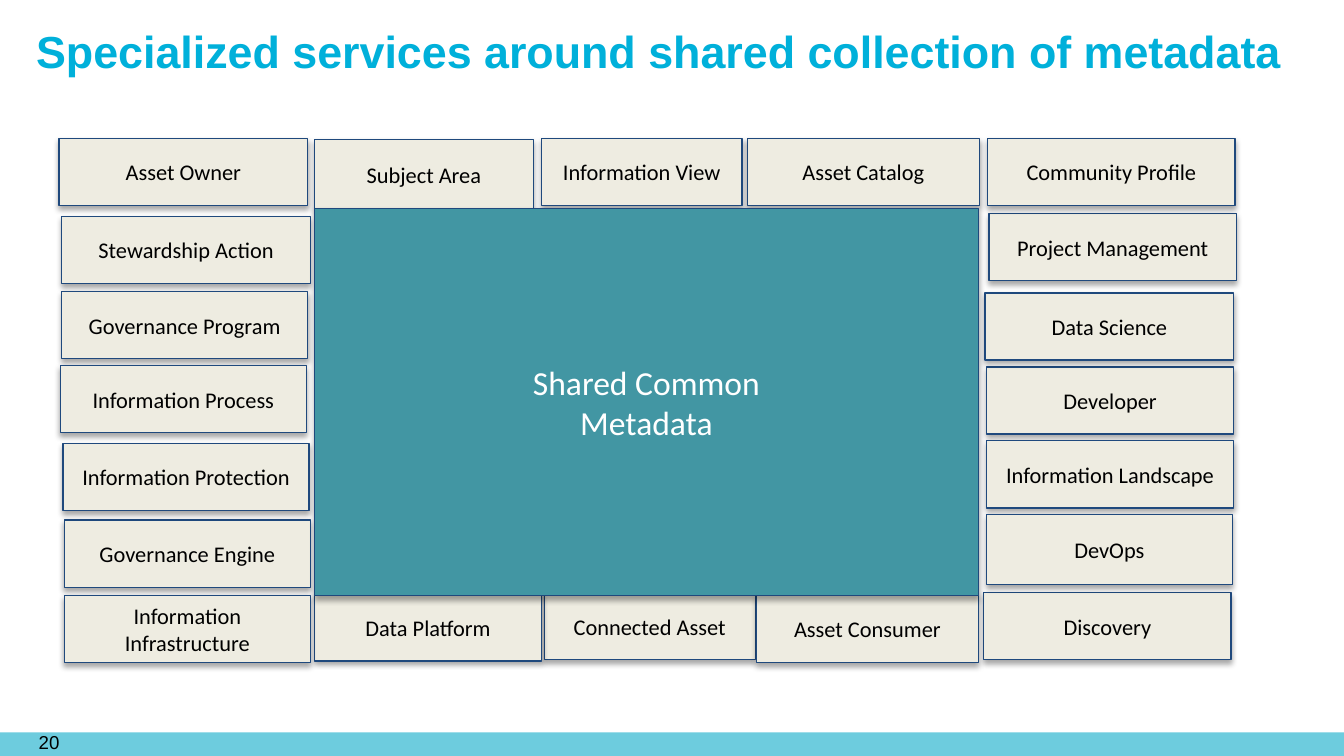
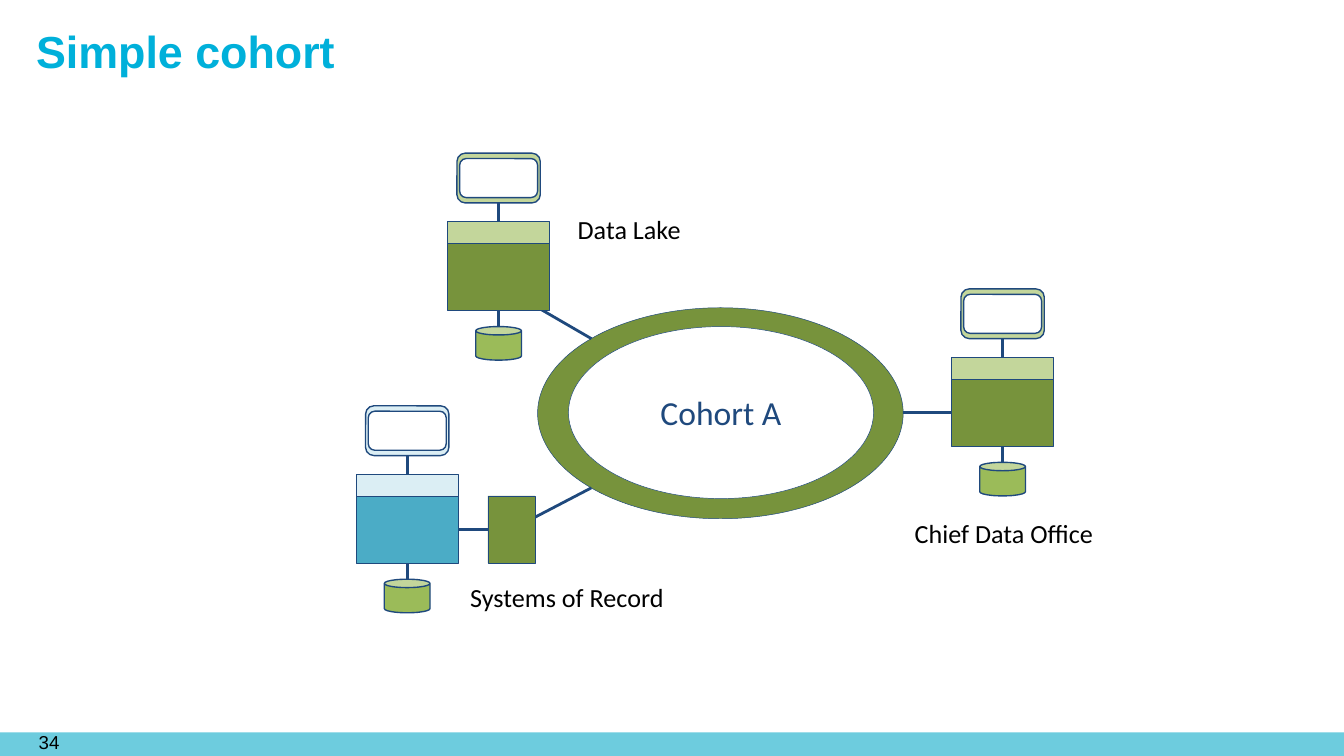
import pptx
import pptx.dml.color
import pptx.enum.shapes
import pptx.enum.text
import pptx.oxml
import pptx.oxml.ns
import pptx.util

Inches = pptx.util.Inches
Kind = pptx.enum.shapes.MSO_SHAPE
Align = pptx.enum.text.PP_ALIGN
Anchor = pptx.enum.text.MSO_ANCHOR

HUES = {
    "title": "00B0DA", "band": "6DCCDE", "ink": "000000", "white": "FFFFFF",
    "navy": "1F497D", "card": "EEECE1", "core": "4296A3", "green": "77933C",
    "lime": "C3D69B", "store": "9BBB59", "blue": "4BACC6", "pale": "DBEEF4",
}
SHADE = (
    '<a:effectLst %s><a:outerShdw blurRad="39370" dist="22860" dir="5400000" rotWithShape="0">'
    '<a:srgbClr val="000000"><a:alpha val="35000"/></a:srgbClr></a:outerShdw></a:effectLst>'
    % pptx.oxml.ns.nsdecls("a")
)
BARE = "<a:effectLst %s/>" % pptx.oxml.ns.nsdecls("a")

# Label, left, top, width and height within the service map
CARDS = [
    ("Project Management", 6.92, 0.56, 1.84, 0.5),
    ("Community Profile", 6.91, 0, 1.84, 0.5),
    ("Asset Catalog", 5.12, 0, 1.73, 0.5),
    ("Stewardship Action", 0.02, 0.58, 1.85, 0.5),
    ("Information View", 3.59, 0, 1.49, 0.5),
    ("Governance Program", 0.02, 1.14, 1.83, 0.5),
    ("Information Process", 0.01, 1.69, 1.83, 0.5),
    ("Subject Area", 1.9, 0.01, 1.63, 0.51),
    ("Connected Asset", 3.61, 3.38, 1.57, 0.5),
    ("Discovery", 6.88, 3.38, 1.84, 0.5),
    ("Governance Engine", 0.04, 2.84, 1.83, 0.5),
    ("Information Protection", 0.03, 2.27, 1.83, 0.5),
    ("Developer", 6.9, 1.7, 1.84, 0.5),
    ("Data Platform", 1.9, 3.39, 1.69, 0.5),
    ("Asset Owner", 0, 0, 1.85, 0.5),
    ("Information Landscape", 6.9, 2.25, 1.84, 0.5),
    ("Data Science", 6.89, 1.15, 1.85, 0.5),
    ("DevOps", 6.9, 2.8, 1.83, 0.52),
    ("Asset Consumer", 5.19, 3.4, 1.65, 0.5),
    ("Information Infrastructure", 0.04, 3.4, 1.83, 0.5),
]


def color(name):
    return pptx.dml.color.RGBColor.from_string(HUES[name])


def write(frame, text, size, hue, face="Calibri", bold=False, align=Align.LEFT):
    frame.word_wrap = True
    frame.text = text
    for line in frame.paragraphs:
        line.alignment = align
        line.font.name = face
        line.font.size = pptx.util.Pt(size)
        line.font.bold = bold
        line.font.color.rgb = color(hue)


def label(slide, box, text, size, hue="ink", **style):
    frame = slide.shapes.add_textbox(*map(Inches, box)).text_frame
    write(frame, text, size, hue, **style)


def draw(slide, kind, box, fill, width=0.25):
    """Add a filled shape; a width of 0 leaves it without outline."""
    shape = slide.shapes.add_shape(kind, *map(Inches, box))
    shape.shadow.inherit = False
    shape.fill.solid()
    shape.fill.fore_color.rgb = color(fill)
    if width:
        shape.line.color.rgb = color("navy")
        shape.line.width = pptx.util.Pt(width)
    else:
        shape.line.fill.background()
    return shape


def caption(shape, text, size, hue):
    shape.text_frame.vertical_anchor = Anchor.MIDDLE
    write(shape.text_frame, text, size, hue, align=Align.CENTER)


def card(slide, box, text, fill="card", size=12, hue="ink"):
    shape = draw(slide, Kind.RECTANGLE, box, fill, 0.75)
    props = shape.element.spPr
    props.remove(props.find(pptx.oxml.ns.qn("a:effectLst")))
    props.append(pptx.oxml.parse_xml(SHADE))
    caption(shape, text, size, hue)


def link(slide, start=(0, 0), end=(0, 0), head=None, tail=None):
    """Draw a line; head and tail are (shape, site) pairs to join."""
    line = slide.shapes.add_connector(
        pptx.enum.shapes.MSO_CONNECTOR.STRAIGHT, *map(Inches, (*start, *end)))
    line.line.color.rgb = color("navy")
    line.line.width = pptx.util.Pt(1.5)
    line.element.spPr.append(pptx.oxml.parse_xml(BARE))
    if head:
        line.begin_connect(*head)
    if tail:
        line.end_connect(*tail)


def page(deck, title, number):
    """Add a slide with its title, footer band and number."""
    slide = deck.slides.add_slide(deck.slide_layouts[6])
    draw(slide, Kind.RECTANGLE, (0, 5.45, 10, 0.18), "band", 0)
    label(slide, (0.19, 5.39, 0.6, 0.2), number, 10, face="Arial")
    label(slide, (0.17, 0.13, 9.59, 0.94), title, 24, "title", face="Arial", bold=True)
    return slide


def service_map(slide, left, top):
    for text, x, y, wide, high in CARDS:
        card(slide, (left + x, top + y, wide, high), text)
    card(slide, (left + 1.9, top + 0.52, 4.94, 2.88),
         "Shared Common\nMetadata", "core", 18, "white")


def server(slide, left, top, fill="green", light="lime"):
    """Stack a screen, a server and a store; return the server body."""
    body = draw(slide, Kind.RECTANGLE, (left, top + 0.67, 0.76, 0.5), fill)
    screen = draw(slide, Kind.ROUNDED_RECTANGLE, (left + 0.07, top, 0.62, 0.37), light, 0.75)
    draw(slide, Kind.ROUNDED_RECTANGLE, (left + 0.09, top + 0.04, 0.58, 0.29), "white", 0.75)
    lid = draw(slide, Kind.RECTANGLE, (left, top + 0.51, 0.76, 0.16), light)
    link(slide, head=(lid, 0), tail=(screen, 2))
    draw(slide, Kind.CAN, (left + 0.21, top + 1.29, 0.34, 0.25), "store", 0.75)
    link(slide, (left + 0.38, top + 1.29), tail=(body, 2))
    return body


def cohort(slide, left, top):
    """Draw the ring and the three members joined to it."""
    draw(slide, Kind.OVAL, (left + 1.35, top + 1.15, 2.72, 1.57), "green")
    core = draw(slide, Kind.OVAL, (left + 1.58, top + 1.29, 2.27, 1.28), "white")
    caption(core, "Cohort A", 18, "navy")
    for start, end in ((0.98, 1.38), (2.85, 2.49)):
        link(slide, (left + 1.06, top + start), (left + 1.75, top + end))

    server(slide, left + 0.68, top)
    office = server(slide, left + 4.43, top + 1.01)
    link(slide, (left + 4.07, top + 1.93), tail=(office, 1))

    record = server(slide, left, top + 1.88, "blue", "pale")
    gate = draw(slide, Kind.RECTANGLE, (left + 0.98, top + 2.55, 0.35, 0.5), "green")
    link(slide, head=(record, 3), tail=(gate, 1))

    for text, x, y, align in (
        ("Chief Data Office", 3.99, 2.66, Align.CENTER),
        ("Data Lake", 1.55, 0.4, Align.LEFT),
        ("Systems of Record", 0.75, 3.14, Align.LEFT),
    ):
        label(slide, (left + x, top + y, 1.66, 0.34), text, 14, align=align)


def main():
    deck = pptx.Presentation()
    deck.slide_width = Inches(10)
    deck.slide_height = deck.slide_width * 9 // 16
    service_map(page(deck, "Specialized services around shared collection of metadata", "20"),
                0.44, 1.03)
    cohort(page(deck, "Simple cohort", "34"), 2.65, 1.14)
    deck.save("out.pptx")


if __name__ == "__main__":
    main()
